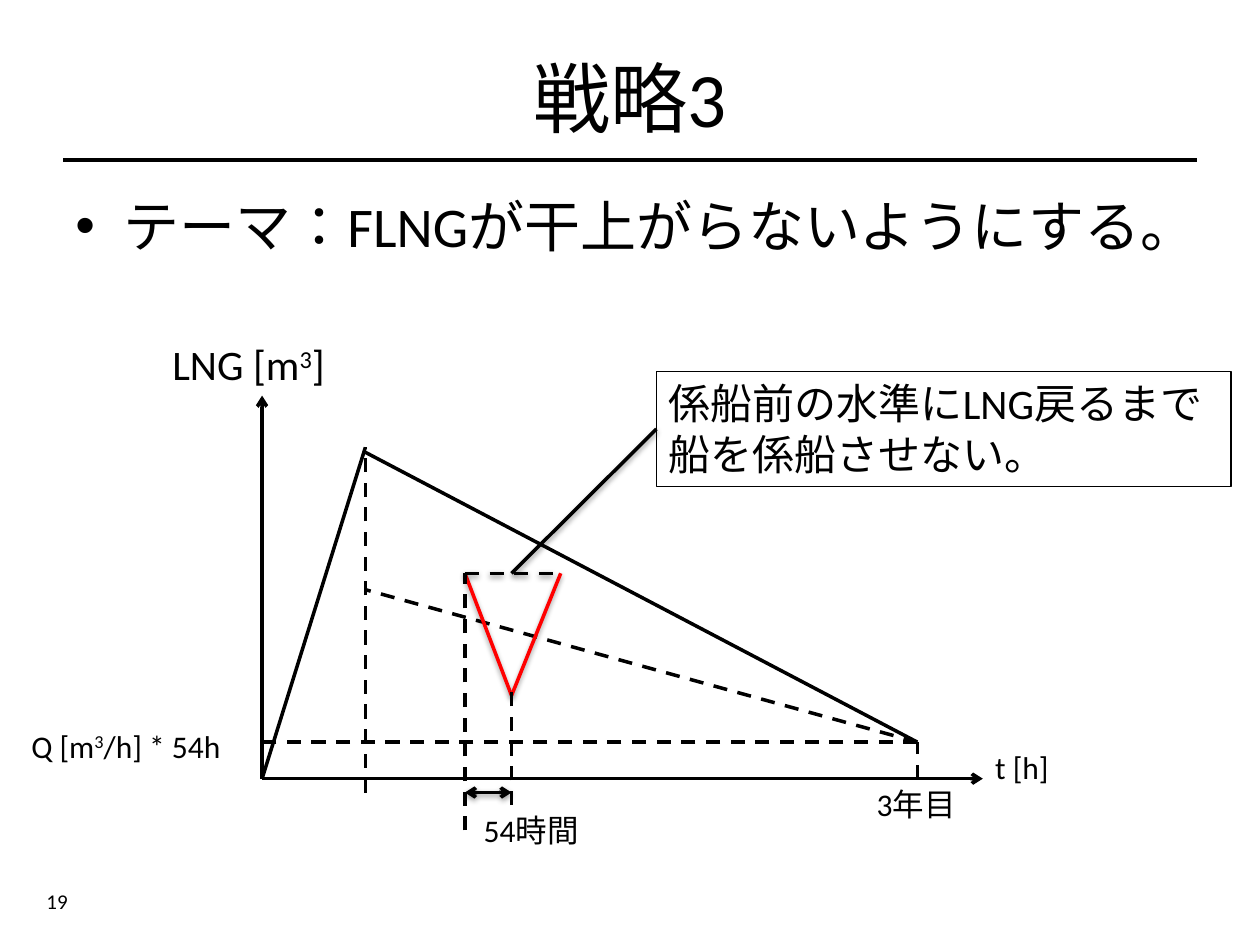
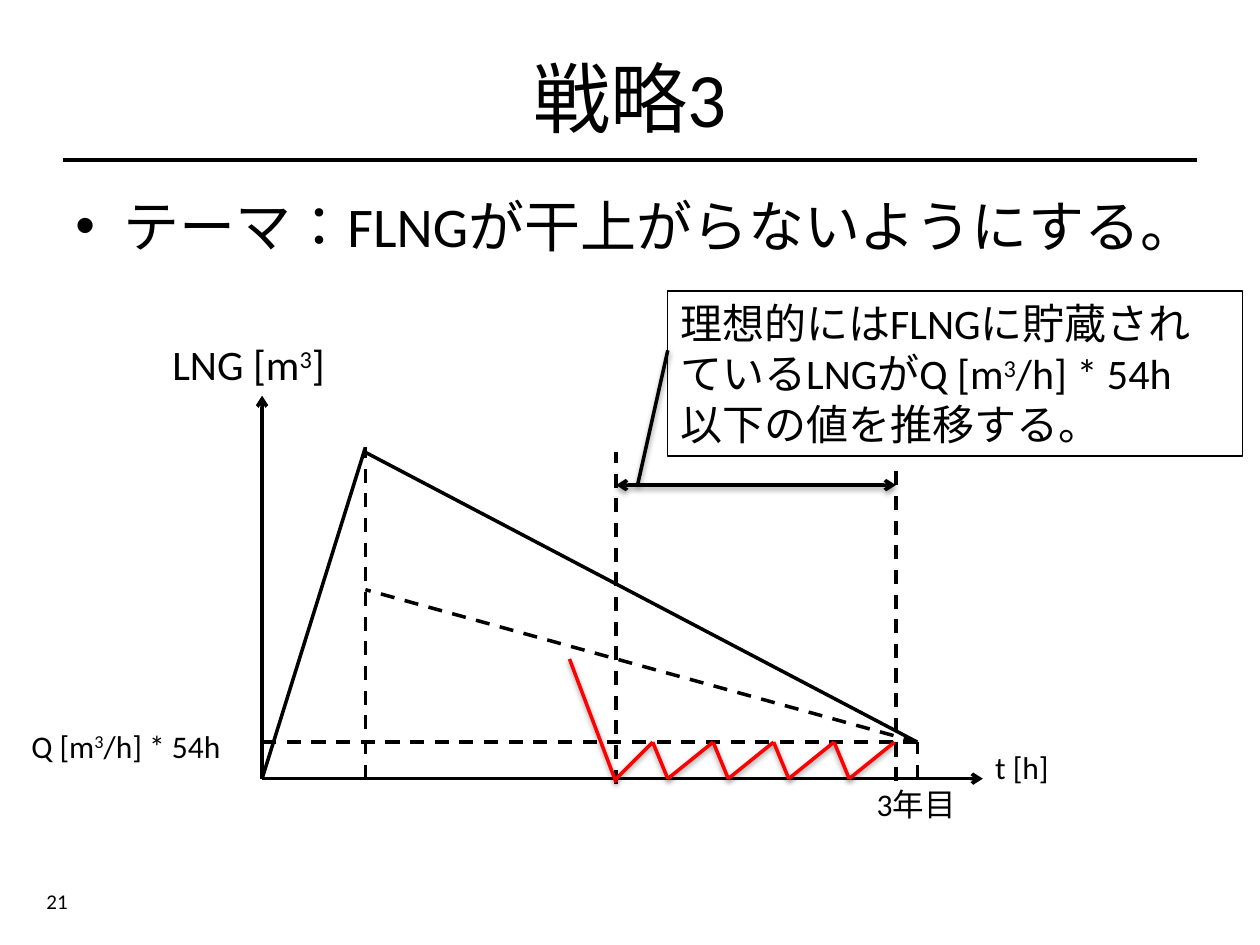
from dataclasses import dataclass

from lxml import etree
from pptx import Presentation
from pptx import util as u
from pptx.dml.color import RGBColor
from pptx.enum import dml, lang, shapes, text
from pptx.oxml.ns import qn

BLACK = RGBColor(0x00, 0x00, 0x00)
RED = RGBColor(0xFF, 0x00, 0x00)
FONT = "Calibri"

# Landmarks of the diagram, in inches
ORIGIN_X, AXIS_Y = 2.08, 6.18
PEAK_X, PEAK_Y = 2.9, 3.55
END_X, LEVEL_Y = 7.28, 5.89


@dataclass(frozen=True)
class Stroke:
    x1: float
    y1: float
    x2: float
    y2: float
    color: RGBColor = BLACK
    dashed: bool = False
    head: bool = False
    tail: bool = False
    shadow: bool = False


@dataclass(frozen=True)
class Label:
    """Text in which every second part between carets is superscript."""
    content: str
    left: float
    top: float
    width: float
    height: float
    size: int = 18
    wrap: bool = True
    middle: bool = False
    centred: bool = False
    framed: bool = False
    bullet: bool = False


TITLE = Label("戦略3", 0.5, 0.26, 9, 1.02, 44, middle=True, centred=True)
THEME = Label("テーマ：FLNGが干上がらないようにする。", 0.5, 1.47, 9, 5.22, 32, bullet=True)
TITLE_RULE = Stroke(0.5, 1.27, 9.5, 1.27)
DIAGRAM_LABELS = (
    Label("LNG [m^3^]", 1.27, 2.64, 1.44, 0.5, 24, wrap=False),
    Label("t [h]", 7.8, 5.89, 0.63, 0.4, wrap=False),
    Label("Q [m^3^/h] * 54h", 0.15, 5.72, 1.77, 0.4, wrap=False),
    Label("3年目", 6.86, 6.18, 0.83, 0.4),
)
DIAGRAM_STROKES = (
    Stroke(ORIGIN_X, AXIS_Y, 7.8, AXIS_Y, tail=True),
    Stroke(ORIGIN_X, AXIS_Y, ORIGIN_X, 3.14, tail=True),
    Stroke(ORIGIN_X, AXIS_Y, PEAK_X, PEAK_Y),
    Stroke(END_X, LEVEL_Y, PEAK_X, 3.59),
    Stroke(END_X, LEVEL_Y, ORIGIN_X, LEVEL_Y, dashed=True),
    Stroke(END_X, AXIS_Y, END_X, LEVEL_Y, dashed=True),
    Stroke(END_X, LEVEL_Y, PEAK_X, 4.68, dashed=True),
)


def draw_stroke(page, stroke: Stroke):
    line = page.shapes.add_connector(
        shapes.MSO_CONNECTOR.STRAIGHT,
        u.Inches(stroke.x1), u.Inches(stroke.y1), u.Inches(stroke.x2), u.Inches(stroke.y2))
    line.line.color.rgb = stroke.color
    line.line.width = u.Pt(2)
    if stroke.dashed:
        line.line.dash_style = dml.MSO_LINE.DASH
    outline = line.line._get_or_add_ln()
    for wanted, tag in ((stroke.head, "a:headEnd"), (stroke.tail, "a:tailEnd")):
        if wanted:
            etree.SubElement(outline, qn(tag), type="arrow")
    effects = etree.SubElement(line._element.spPr, qn("a:effectLst"))
    if stroke.shadow:
        shadow = etree.SubElement(effects, qn("a:outerShdw"), blurRad="40000", dist="20000",
                                  dir="5400000", rotWithShape="0")
        color = etree.SubElement(shadow, qn("a:srgbClr"), val=str(BLACK))
        etree.SubElement(color, qn("a:alpha"), val="38000")
    return line


def add_bullet(para) -> None:
    props = para._p.get_or_add_pPr()
    props.set("marL", str(u.Inches(0.38)))
    props.set("indent", str(u.Inches(-0.38)))
    etree.SubElement(props, qn("a:buFont"), typeface="Arial")
    etree.SubElement(props, qn("a:buChar"), char="•")


def fill_paragraph(para, content: str, label: Label) -> None:
    para.alignment = text.PP_ALIGN.CENTER if label.centred else text.PP_ALIGN.LEFT
    if label.bullet:
        add_bullet(para)
    for index, part in enumerate(content.split("^")):
        span = para.add_run()
        span.text = part
        span.font.name = FONT
        span.font.size = u.Pt(label.size)
        span.font.color.rgb = BLACK
        span.font.language_id = lang.MSO_LANGUAGE_ID.JAPANESE
        if index % 2:
            span._r.get_or_add_rPr().set("baseline", "30000")


def draw_label(page, label: Label):
    place = [u.Inches(n) for n in (label.left, label.top, label.width, label.height)]
    if label.framed:
        box = page.shapes.add_shape(shapes.MSO_SHAPE.RECTANGLE, *place)
        box.shadow.inherit = False
        box.fill.background()
        box.line.color.rgb = BLACK
        box.line.width = u.Pt(0.75)
    else:
        box = page.shapes.add_textbox(*place)
    frame = box.text_frame
    frame.word_wrap = label.wrap
    if not label.wrap:
        frame.auto_size = text.MSO_AUTO_SIZE.SHAPE_TO_FIT_TEXT
    frame.vertical_anchor = text.MSO_ANCHOR.MIDDLE if label.middle else text.MSO_ANCHOR.TOP
    for index, content in enumerate(label.content.split("\n")):
        para = frame.add_paragraph() if index else frame.paragraphs[0]
        fill_paragraph(para, content, label)
    return box


def add_strategy_page(deck, number: int, peak_foot: float):
    """Add a page with the title, theme and base diagram; peak_foot ends the peak's guide."""
    page = deck.slides.add_slide(deck.slide_layouts[6])
    draw_stroke(page, TITLE_RULE)
    page_number = Label(str(number), 0.27, 6.95, 2.33, 0.4, 12, middle=True)
    for label in (TITLE, THEME, page_number, *DIAGRAM_LABELS):
        draw_label(page, label)
    peak_guide = Stroke(PEAK_X, peak_foot, PEAK_X, PEAK_Y, dashed=True)
    for stroke in (*DIAGRAM_STROKES, peak_guide):
        draw_stroke(page, stroke)
    return page


def add_mooring_page(deck) -> None:
    page = add_strategy_page(deck, 19, peak_foot=6.29)
    start, low, back, top = 3.69, 4.06, 4.45, 4.55
    for stroke in (
        Stroke(start, top, low, 5.52, RED, shadow=True),
        Stroke(back, top, low, 5.52, RED, shadow=True),
        Stroke(start, 6.59, start, top, dashed=True),
        Stroke(low, 6.39, low, 5.45, dashed=True),
        Stroke(start, 6.29, low, 6.29, head=True, tail=True, shadow=True),
        Stroke(start, top, back, top, dashed=True, shadow=True),
    ):
        draw_stroke(page, stroke)
    draw_label(page, Label("54時間", 3.74, 6.39, 0.96, 0.4))
    pointer = draw_stroke(page, Stroke(low, top, 5.21, 3.41, shadow=True))
    callout = draw_label(page, Label("係船前の水準にLNG戻るまで船を係船させない。",
                                     5.21, 2.95, 4.56, 0.91, 24, framed=True))
    pointer.end_connect(callout, 1)


def add_ideal_page(deck) -> None:
    page = add_strategy_page(deck, 21, peak_foot=AXIS_Y)
    start, finish, span_y = 4.89, 7.11, 3.85
    draw_label(page, Label("理想的にはFLNGに貯蔵されているLNGがQ [m^3^/h] * 54h\n以下の値を推移する。",
                           5.3, 2.31, 4.56, 1.31, 24, framed=True))
    for stroke in (
        Stroke(start, 6.22, start, 3.59, dashed=True),
        Stroke(finish, 6.2, finish, 3.72, dashed=True),
        Stroke(start, span_y, finish, span_y, head=True, tail=True, shadow=True),
        Stroke(5.06, span_y, 5.3, 2.78, shadow=True),
        Stroke(4.52, 5.23, start, 6.21, RED, shadow=True),
    ):
        draw_stroke(page, stroke)
    crests = [5.18 + 0.48 * i for i in range(5)]
    troughs = [start] + [crest + 0.12 for crest in crests[:-1]]
    for trough, crest in zip(troughs, crests):
        draw_stroke(page, Stroke(crest, LEVEL_Y, trough, AXIS_Y, RED, shadow=True))
    for crest, trough in zip(crests, troughs[1:]):
        draw_stroke(page, Stroke(crest, LEVEL_Y, trough, AXIS_Y, RED, shadow=True))


def main() -> None:
    deck = Presentation()
    deck.slide_width, deck.slide_height = u.Inches(10), u.Inches(7.5)
    add_mooring_page(deck)
    add_ideal_page(deck)
    deck.save("out.pptx")


if __name__ == "__main__":
    main()
